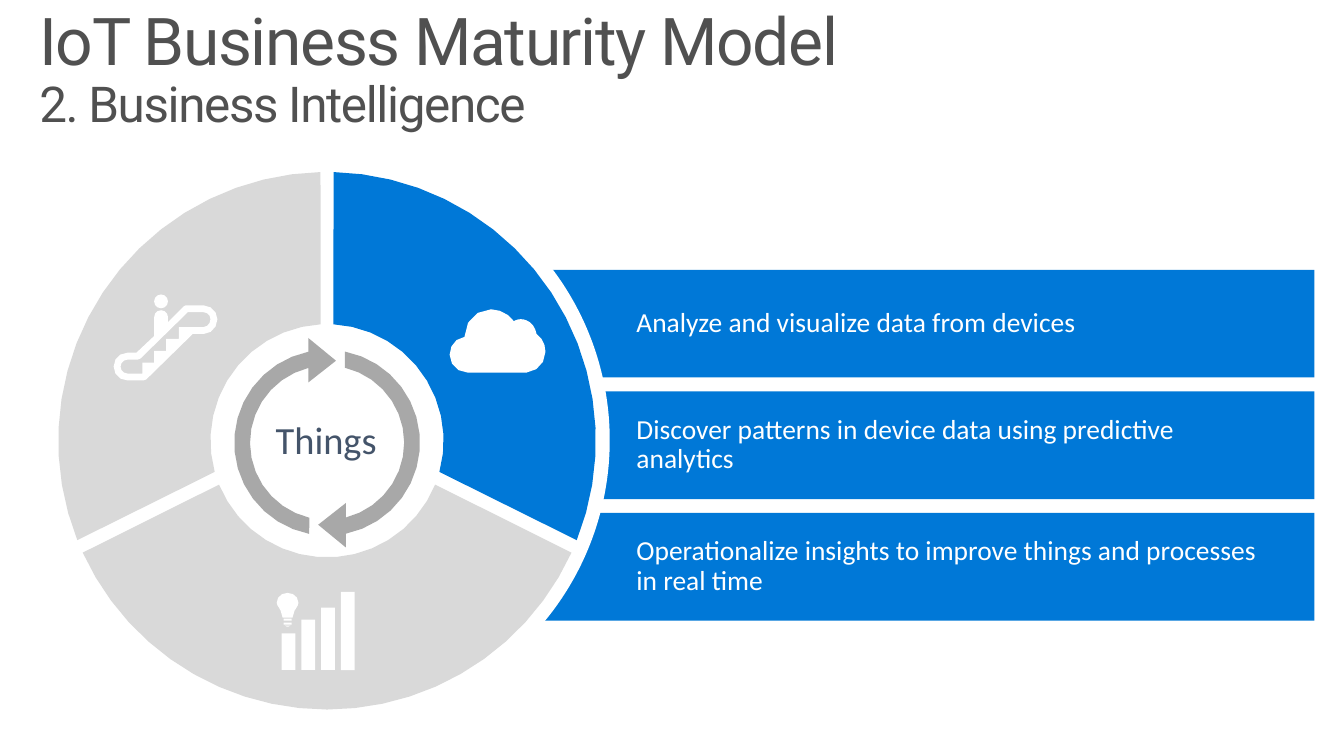
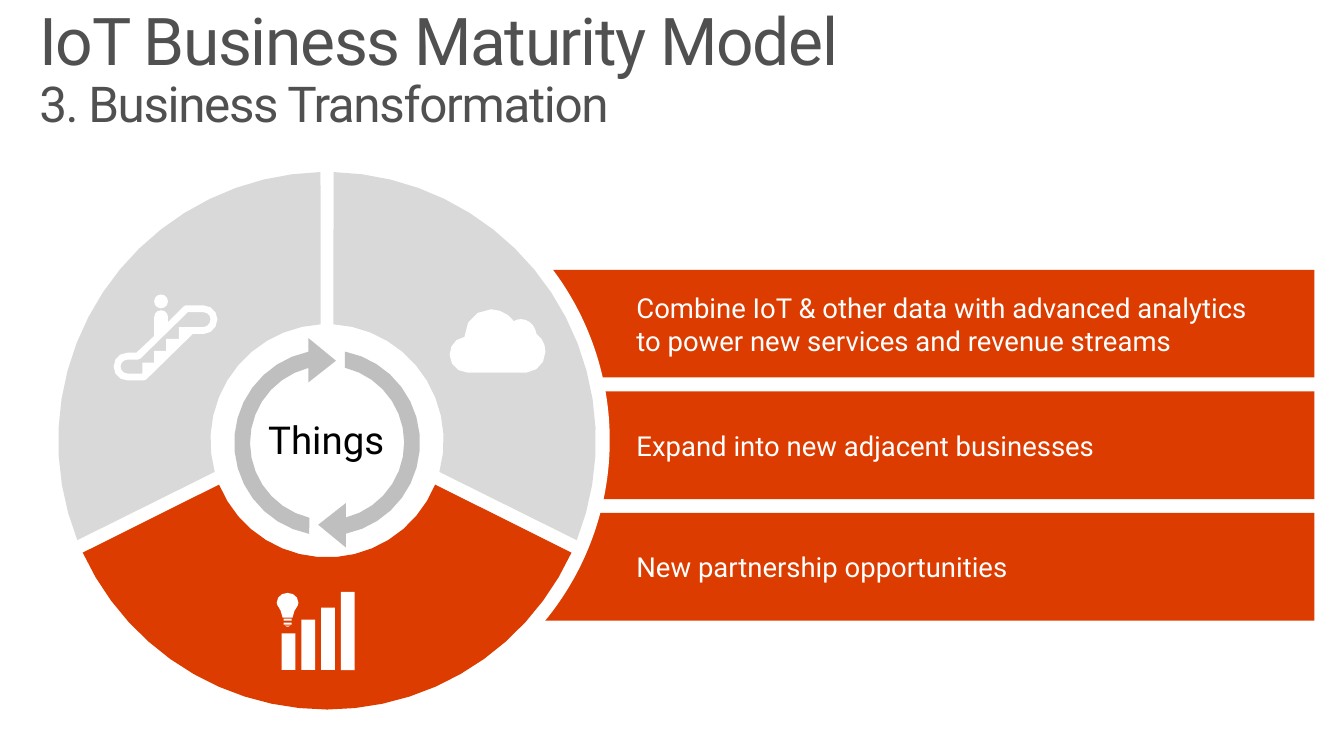
from dataclasses import dataclass
from math import acos, ceil, cos, radians, sin

from pptx import Presentation
from pptx.dml.color import RGBColor
from pptx.enum import shapes, text
from pptx.util import Inches, Pt

WHITE, MUTED, TITLE_GREY = "FFFFFF", "D9D9D9", "505050"
TITLE_FONT = "Roboto"
WHEEL_CENTRE = (3.31, 4.46)
OUTER_RADIUS, INNER_RADIUS = 2.72, 1.18
CYCLE_CENTRE = (3.31, 4.48)
BAR_TOP, BAR_PITCH = 2.73, 1.23
CURVE_STEPS = 3
ARC_TOLERANCE = 0.004

Point = tuple[float, float]
Contour = list[Point]


@dataclass(frozen=True)
class Sector:
    """Angles in degrees, clockwise from three o'clock."""
    outer: tuple[float, float]
    inner: tuple[float, float]


@dataclass(frozen=True)
class Stage:
    subtitle: str
    active_sector: int
    accent: str
    font: str
    line_spacing: float
    cycle_colour: str
    hub_colour: str
    points: tuple[str, ...]


SECTORS = (
    Sector((158.3, 268.6), (164.5, 266.9)),
    Sector((-88.6, 21.7), (-86.9, 15.5)),
    Sector((24.6, 155.4), (22.1, 157.9)),
)

STAGES = (
    Stage("2. Business Intelligence", 1, "0078D7", "Calibri", 0.9, "A8A8A8", "44546A", (
        "Analyze and visualize data from devices",
        "Discover patterns in device data using predictive analytics",
        "Operationalize insights to improve things and processes in real time",
    )),
    Stage("3. Business Transformation", 2, "DC3C00", "Roboto", 1.0, "BFBFBF", "000000", (
        "Combine IoT & other data with advanced analytics to power new services and revenue streams",
        "Expand into new adjacent businesses",
        "New partnership opportunities",
    )),
)

# In an outline, two numbers are a straight step and six are a cubic curve.
CLOUD = (
    (4.7, 3.41), (4.7, 3.25, 4.82, 3.13, 4.97, 3.13), (5.06, 3.13, 5.15, 3.18, 5.2, 3.25),
    (5.22, 3.24, 5.24, 3.23, 5.27, 3.23), (5.3, 3.23, 5.33, 3.24, 5.36, 3.26),
    (5.4, 3.29, 5.42, 3.33, 5.43, 3.38), (5.49, 3.42, 5.52, 3.49, 5.52, 3.56),
    (5.52, 3.67, 5.44, 3.76, 5.33, 3.77), (4.73, 3.77),
    (4.63, 3.77, 4.55, 3.69, 4.55, 3.59), (4.55, 3.5, 4.61, 3.42, 4.7, 3.41),
)
ESCALATOR_RIM = (
    (2.06, 3.09), (1.88, 3.09), (1.86, 3.1), (1.7, 3.26), (1.7, 3.21),
    (1.7, 3.17, 1.67, 3.14, 1.63, 3.14), (1.59, 3.14, 1.56, 3.17, 1.56, 3.21),
    (1.56, 3.4), (1.38, 3.57), (1.29, 3.57),
    (1.21, 3.57, 1.15, 3.63, 1.15, 3.71), (1.15, 3.79, 1.21, 3.85, 1.29, 3.85),
    (1.45, 3.85), (1.48, 3.84), (1.95, 3.38), (2.06, 3.38),
    (2.14, 3.38, 2.2, 3.31, 2.2, 3.23), (2.2, 3.16, 2.14, 3.09, 2.06, 3.09),
)
ESCALATOR_STEPS = (
    (2.06, 3.31), (1.81, 3.31), (1.81, 3.43), (1.68, 3.43), (1.68, 3.55), (1.56, 3.55),
    (1.56, 3.67), (1.44, 3.67), (1.44, 3.78), (1.29, 3.78),
    (1.25, 3.78, 1.22, 3.75, 1.22, 3.71), (1.22, 3.67, 1.25, 3.64, 1.29, 3.64),
    (1.39, 3.64), (1.42, 3.63), (1.9, 3.16), (2.06, 3.16),
    (2.1, 3.16, 2.13, 3.19, 2.13, 3.23), (2.13, 3.27, 2.1, 3.31, 2.06, 3.31),
)
BULB_GLASS = (
    (2.91, 6), (2.85, 6, 2.8, 6.04, 2.8, 6.1), (2.8, 6.13, 2.83, 6.15, 2.84, 6.18),
    (2.86, 6.25), (2.96, 6.25), (2.98, 6.18),
    (2.99, 6.16, 3.02, 6.13, 3.02, 6.1), (3.02, 6.04, 2.97, 6, 2.91, 6),
)
BULB_THREADS = tuple(
    ((2.87, top), (2.95, top), (2.95, top + 0.02), (2.87, top + 0.02))
    for top in (6.26, 6.3)
)
BULB_TIP = ((2.88, 6.33), (2.9, 6.34), (2.92, 6.34), (2.94, 6.33))


def colour(hex_code: str) -> RGBColor:
    return RGBColor.from_string(hex_code)


def paint(shape, fill: str):
    """Give a shape a flat fill with neither outline nor shadow."""
    shape.shadow.inherit = False
    shape.fill.solid()
    shape.fill.fore_color.rgb = colour(fill)
    shape.line.fill.background()
    return shape


def add_preset(parent, preset, left: float, top: float, width: float, height: float, fill: str):
    shape = parent.shapes.add_shape(
        preset, Inches(left), Inches(top), Inches(width), Inches(height))
    return paint(shape, fill)


def add_outline(parent, contours: list[Contour], fill: str) -> None:
    emu = [[(Inches(x), Inches(y)) for x, y in contour] for contour in contours]
    builder = parent.shapes.build_freeform(*emu[0][0], scale=1.0)
    for index, contour in enumerate(emu):
        if index:
            builder.move_to(*contour[0])
        builder.add_line_segments(contour[1:], close=True)
    paint(builder.convert_to_shape(), fill)


def flatten(outline: tuple[tuple[float, ...], ...]) -> Contour:
    """Turn straight and curved steps into a list of points."""
    points: Contour = []
    for step in outline:
        if len(step) == 2:
            points.append(step)
            continue
        x0, y0 = points[-1]
        x1, y1, x2, y2, x3, y3 = step
        for index in range(1, CURVE_STEPS + 1):
            t = index / CURVE_STEPS
            a, b, c, d = (1 - t) ** 3, 3 * t * (1 - t) ** 2, 3 * t * t * (1 - t), t ** 3
            points.append((a * x0 + b * x1 + c * x2 + d * x3,
                           a * y0 + b * y1 + c * y2 + d * y3))
    return points


def arc(centre: Point, radius: float, start: float, end: float) -> Contour:
    """Return as few points as keep the arc within the tolerance."""
    sweep = radians(end - start)
    steps = ceil(abs(sweep) / (2 * acos(1 - ARC_TOLERANCE / radius)))
    angles = [radians(start) + sweep * i / steps for i in range(steps + 1)]
    return [(centre[0] + radius * cos(a), centre[1] + radius * sin(a)) for a in angles]


def format_run(run, font: str, size: int, hex_code: str) -> None:
    run.font.name = font
    run.font.size = Pt(size)
    run.font.color.rgb = colour(hex_code)


def set_frame(frame, insets: tuple[float, float, float, float]) -> None:
    frame.word_wrap = True
    frame.vertical_anchor = text.MSO_ANCHOR.MIDDLE
    (frame.margin_left, frame.margin_top,
     frame.margin_right, frame.margin_bottom) = map(Inches, insets)


def add_title(slide, subtitle: str) -> None:
    title = slide.shapes.add_textbox(Inches(0.3), Inches(0.22), Inches(13), Inches(1))
    set_frame(title.text_frame, (0.1, 0.05, 0.1, 0.05))
    heading = title.text_frame.paragraphs[0]
    heading.text = f"IoT Business Maturity Model\v{subtitle}"
    heading.line_spacing = 0.9
    for run, size in zip(heading.runs, (48, 36)):
        format_run(run, TITLE_FONT, size, TITLE_GREY)
        run._r.get_or_add_rPr().set("spc", "-100")


def add_points(slide, stage: Stage) -> None:
    for row, wording in enumerate(stage.points):
        bar = add_preset(slide, shapes.MSO_SHAPE.RECTANGLE,
                         5.34, BAR_TOP + row * BAR_PITCH, 7.96, 1.09, stage.accent)
        set_frame(bar.text_frame, (1.1, 0.05, 0.5, 0.05))
        point = bar.text_frame.paragraphs[0]
        point.text = wording
        point.alignment = text.PP_ALIGN.LEFT
        point.line_spacing = stage.line_spacing
        format_run(point.runs[0], stage.font, 20, WHITE)


def add_cycle(slide, stage: Stage) -> None:
    """Draw two arrows chasing each other around the hub label."""
    cx, cy = CYCLE_CENTRE
    head = [(cx - 0.19, cy - 1.06), (cx + 0.09, cy - 0.83), (cx - 0.19, cy - 0.61)]
    arrow = (arc(CYCLE_CENTRE, 0.94, 101.1, 258.3) + head
             + arc(CYCLE_CENTRE, 0.78, 255.9, 103.3))
    opposite = [(2 * cx - x, 2 * cy - y) for x, y in arrow]
    add_outline(slide, [arrow, opposite], stage.cycle_colour)

    hub = slide.shapes.add_textbox(Inches(2.14), Inches(4.24), Inches(2.32), Inches(0.46))
    set_frame(hub.text_frame, (0.2, 0.16, 0.2, 0.16))
    label = hub.text_frame.paragraphs[0]
    label.text = "Things"
    label.alignment = text.PP_ALIGN.CENTER
    label.line_spacing = 0.9
    format_run(label.runs[0], stage.font, 28, stage.hub_colour)


def add_sectors(slide, stage: Stage) -> None:
    for index, sector in enumerate(SECTORS):
        rim = arc(WHEEL_CENTRE, OUTER_RADIUS, *sector.outer)
        hollow = arc(WHEEL_CENTRE, INNER_RADIUS, *reversed(sector.inner))
        fill = stage.accent if index == stage.active_sector else MUTED
        add_outline(slide, [rim + hollow], fill)


def add_icons(slide) -> None:
    insight = slide.shapes.add_group_shape()
    bulb = [flatten(part) for part in (BULB_GLASS, *BULB_THREADS, BULB_TIP)]
    add_outline(insight, bulb, WHITE)
    for column, height in enumerate((0.37, 0.51, 0.63, 0.79)):
        add_preset(insight, shapes.MSO_SHAPE.RECTANGLE,
                   2.85 + 0.2 * column, 6.78 - height, 0.14, height, WHITE)

    add_outline(slide, [flatten(CLOUD)], WHITE)

    escalator = slide.shapes.add_group_shape()
    add_outline(escalator, [flatten(ESCALATOR_RIM), flatten(ESCALATOR_STEPS)], WHITE)
    add_preset(escalator, shapes.MSO_SHAPE.OVAL, 1.56, 2.98, 0.14, 0.14, WHITE)


def add_stage(deck, stage: Stage) -> None:
    slide = deck.slides.add_slide(deck.slide_layouts[6])
    add_points(slide, stage)
    add_preset(slide, shapes.MSO_SHAPE.OVAL, 0.42, 1.58, 5.75, 5.75, WHITE)
    add_cycle(slide, stage)
    add_sectors(slide, stage)
    add_icons(slide)
    add_title(slide, stage.subtitle)


def main() -> None:
    deck = Presentation()
    deck.slide_width, deck.slide_height = Inches(13.6), Inches(7.65)
    for stage in STAGES:
        add_stage(deck, stage)
    deck.save("out.pptx")


if __name__ == "__main__":
    main()
